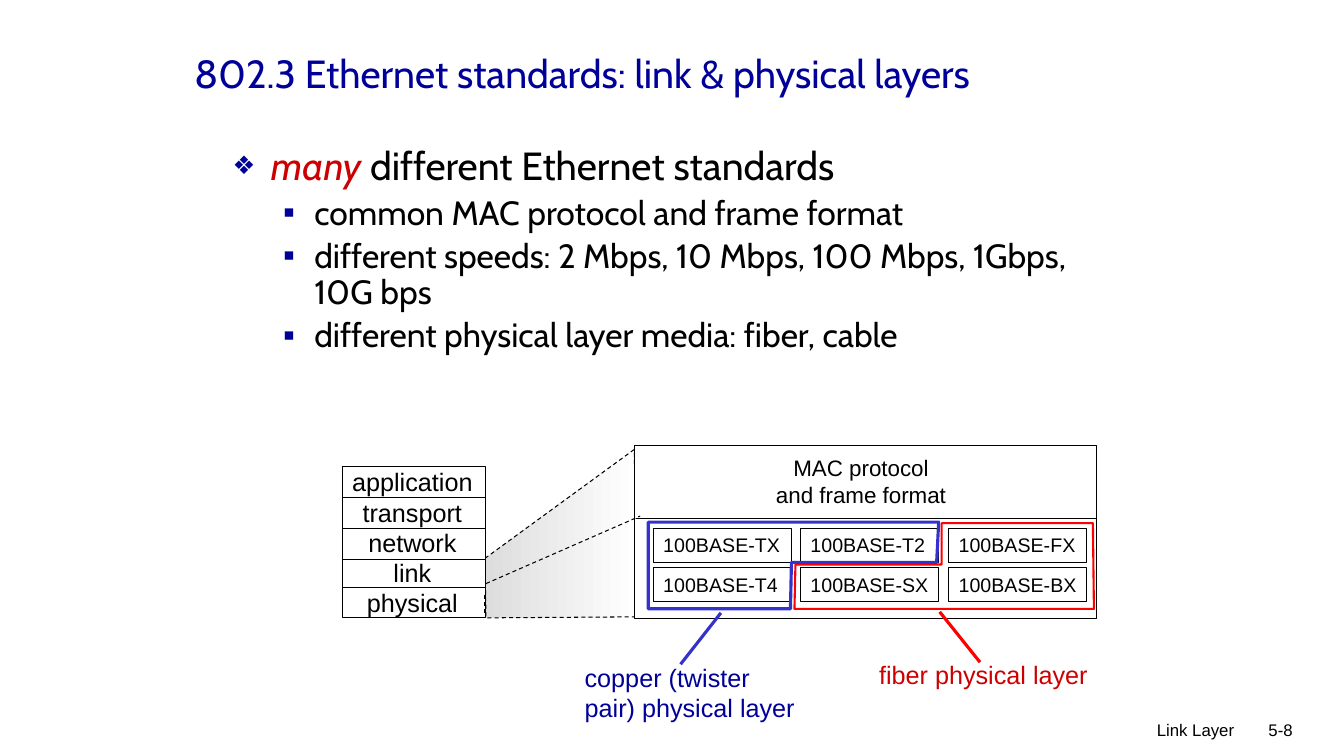
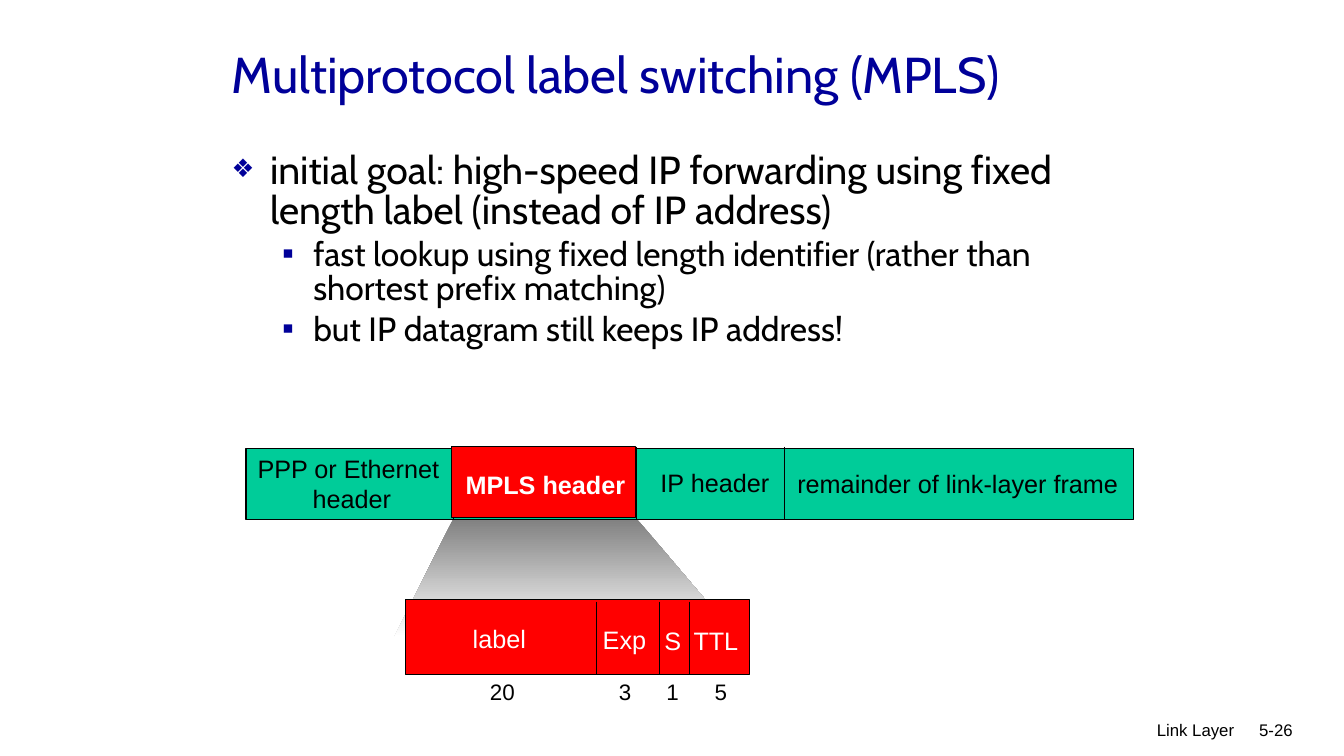
import pptx
import pptx.util
import pptx.dml.color
import pptx.enum.dml
import pptx.enum.shapes
import pptx.enum.text
import pptx.oxml.ns
import lxml.etree

Inches = pptx.util.Inches
Pt = pptx.util.Pt
qn = pptx.oxml.ns.qn
ALIGN = pptx.enum.text.PP_ALIGN
ANCHOR = pptx.enum.text.MSO_ANCHOR
DASH = pptx.enum.dml.MSO_LINE.DASH

BLACK, WHITE, RED = "000000", "FFFFFF", "FF0000"
NAVY, BLUE, CRIMSON, GREEN = "000099", "3333CC", "CC0000", "00CC99"
HEAD_FONT, FONT = "Cabin", "Arial"
BULLETS = [("❖", 65, 0.38, -0.38, 28), ("▪", 100, 0.81, -0.31, 24)]


def rgb(color):
    return pptx.dml.color.RGBColor.from_string(color)


def inches(values):
    return [Inches(v) for v in values]


def style_run(r, size, color, font=FONT, bold=False, italic=False):
    r.font.size = Pt(size)
    r.font.name = font
    r.font.color.rgb = rgb(color)
    r.font.bold = bold
    r.font.italic = italic


def write(sp, text, size, color=BLACK, align=ALIGN.LEFT, font=FONT,
          bold=False, wrap=False, anchor=ANCHOR.TOP):
    tf = sp.text_frame
    tf.text = text
    tf.word_wrap = wrap
    tf.vertical_anchor = anchor
    if not wrap:
        tf.auto_size = pptx.enum.text.MSO_AUTO_SIZE.SHAPE_TO_FIT_TEXT
    for p in tf.paragraphs:
        p.alignment = align
        for r in p.runs:
            style_run(r, size, color, font, bold)


def label(s, at, text, size, color=BLACK, **options):
    write(s.shapes.add_textbox(*inches(at)), text, size, color, **options)


def set_line(sp, color, width, dash=False):
    if color is None:
        sp.line.fill.background()
        return
    sp.line.color.rgb = rgb(color)
    sp.line.width = Pt(width)
    if dash:
        sp.line.dash_style = DASH


def block(s, at, fill=None, line=BLACK):
    sp = s.shapes.add_shape(pptx.enum.shapes.MSO_SHAPE.RECTANGLE, *inches(at))
    sp.shadow.inherit = False
    if fill:
        sp.fill.solid()
        sp.fill.fore_color.rgb = rgb(fill)
    else:
        sp.fill.background()
    set_line(sp, line, 0.75)
    return sp


def outline(s, points, line=None, width=0.75, dash=False, close=True,
            gradient=None, angle=0):
    start, *rest = [tuple(inches(point)) for point in points]
    builder = s.shapes.build_freeform(*start, scale=1.0)
    builder.add_line_segments(rest, close=close)
    sp = builder.convert_to_shape()
    sp.shadow.inherit = False
    if gradient:
        sp.fill.gradient()
        sp.fill.gradient_angle = angle
        for stop, color in zip(sp.fill.gradient_stops, gradient):
            stop.color.rgb = rgb(color)
    else:
        sp.fill.background()
    set_line(sp, line, width, dash)


def rule(s, x1, y1, x2, y2, color=BLACK, width=0.75, dash=False):
    straight = pptx.enum.shapes.MSO_CONNECTOR.STRAIGHT
    cn = s.shapes.add_connector(straight, *inches((x1, y1, x2, y2)))
    set_line(cn, color, width, dash)
    lxml.etree.SubElement(cn._element.spPr, qn("a:effectLst"))


def add_bullet(p, level):
    char, percent, margin, indent, size = BULLETS[level]
    pPr = p._p.get_or_add_pPr()
    pPr.set("marL", str(Inches(margin)))
    pPr.set("indent", str(Inches(indent)))
    color = lxml.etree.SubElement(pPr, qn("a:buClr"))
    lxml.etree.SubElement(color, qn("a:srgbClr"), val=NAVY)
    lxml.etree.SubElement(pPr, qn("a:buSzPct"), val=str(percent * 1000))
    lxml.etree.SubElement(pPr, qn("a:buFont"), typeface=FONT)
    lxml.etree.SubElement(pPr, qn("a:buChar"), char=char)


def bullet_list(s, at, items, spacing):
    tf = s.shapes.add_textbox(*inches(at)).text_frame
    tf.word_wrap = True
    for i, (level, emphasis, text) in enumerate(items):
        size = BULLETS[level][-1]
        p = tf.paragraphs[0] if i == 0 else tf.add_paragraph()
        p.level = level
        p.line_spacing = spacing
        p.space_before = Pt(size * 0.2)
        add_bullet(p, level)
        if emphasis:
            r = p.add_run()
            r.text = emphasis
            style_run(r, size, CRIMSON, HEAD_FONT, italic=True)
        r = p.add_run()
        r.text = text
        style_run(r, size, BLACK, HEAD_FONT)


def new_slide(prs, title, title_at, title_size, number):
    s = prs.slides.add_slide(prs.slide_layouts[6])
    label(s, (8.12, 7.09, 4.22, 0.5), "Link Layer", 12, align=ALIGN.RIGHT, wrap=True)
    label(s, (11.93, 7.09, 0.99, 0.5), number, 12, align=ALIGN.RIGHT, wrap=True)
    label(s, title_at, title, title_size, NAVY, font=HEAD_FONT, wrap=True,
          anchor=ANCHOR.MIDDLE)
    return s


def protocol_stack(s):
    outline(s, [(6.29, 4.46), (4.81, 5.54), (4.82, 6.13), (6.33, 6.12)],
            BLACK, dash=True, gradient=("DDDDDD", WHITE))
    block(s, (3.4, 4.63, 1.42, 1.5), WHITE)
    layers = ["application", "transport", "network", "link", "physical"]
    label(s, (3.39, 4.58, 1.4, 1.6), "\n".join(layers), 18, align=ALIGN.CENTER)
    for y in (4.94, 5.24, 5.55, 5.83):
        rule(s, 3.4, y, 4.81, y)
    for x in (3.4, 4.81):
        rule(s, x, 5.9, x, 6.09, dash=True)


def ethernet_slide(prs):
    s = new_slide(prs, "802.3 Ethernet standards: link & physical layers",
                  (1.83, 0.1, 9.53, 1.25), 28, "5-8")
    bullet_list(s, (2.21, 1.41, 8.5, 2.3), [
        (0, "many ", "different Ethernet standards"),
        (1, "", "common MAC protocol and frame format"),
        (1, "", "different speeds: 2 Mbps, 10 Mbps, 100 Mbps, 1Gbps, 10G bps"),
        (1, "", "different physical layer media: fiber, cable"),
    ], 0.9)
    protocol_stack(s)
    block(s, (6.29, 4.42, 4.59, 1.72), WHITE)
    rule(s, 6.31, 5.14, 10.88, 5.14)
    label(s, (7.59, 4.46, 1.9, 0.64), "MAC protocol\nand frame format", 16,
          align=ALIGN.CENTER)
    outline(s, [(4.82, 5.79), (6.35, 5.12)], BLACK, dash=True, close=False)
    media = [("TX", "T2", "FX"), ("T4", "SX", "BX")]
    for y, row in zip((5.24, 5.63), media):
        for x, medium in zip((6.48, 7.94, 9.41), row):
            sp = block(s, (x, y, 1.37, 0.34))
            write(sp, "100BASE-" + medium, 14)
    outline(s, [(9.34, 5.19), (9.34, 5.6), (7.89, 5.6), (7.88, 6.04),
                (10.85, 6.04), (10.84, 5.19)], RED, 1.5)
    rule(s, 9.32, 6.07, 9.72, 6.57, RED, 2.25)
    label(s, (8.62, 6.49, 2.29, 0.4), "fiber physical layer", 18, CRIMSON)
    outline(s, [(9.31, 5.18), (9.29, 5.58), (7.85, 5.58), (7.84, 6.04),
                (6.43, 6.04), (6.43, 5.18)], BLUE, 2.25)
    rule(s, 7.15, 6.08, 6.75, 6.59, BLUE, 2.25)
    label(s, (5.7, 6.52, 2.31, 0.71), "copper (twister\npair) physical layer",
          18, NAVY)


def mpls_slide(prs):
    s = new_slide(prs, "Multiprotocol label switching (MPLS)",
                  (2.2, 0.21, 8.5, 1.03), 36, "5-26")
    bullet_list(s, (2.2, 1.46, 8.5, 5.08), [
        (0, "", "initial goal: high-speed IP forwarding using fixed length label "
                "(instead of IP address)"),
        (1, "", "fast lookup using fixed length identifier (rather than shortest "
                "prefix matching)"),
        (1, "", "but IP datagram still keeps IP address!"),
    ], 0.85)
    outline(s, [(4.5, 5.14), (3.91, 6.32), (7.31, 6.32), (6.31, 5.14)],
            gradient=("808080", WHITE), angle=270)
    block(s, (2.44, 4.45, 8.8, 0.7), GREEN)
    label(s, (2.45, 4.45, 2.08, 0.7), "PPP or Ethernet \nheader", 18,
          align=ALIGN.CENTER)
    label(s, (6.45, 4.59, 1.28, 0.4), "IP header", 18, align=ALIGN.CENTER)
    for x in (4.5, 6.31, 7.78):
        rule(s, x, 4.43, x, 5.15)
    label(s, (7.81, 4.6, 3.38, 0.4), "remainder of link-layer frame", 18)
    block(s, (4.48, 4.43, 1.82, 0.7), RED)
    label(s, (4.41, 4.61, 2.0, 0.4), "MPLS header", 18, WHITE,
          align=ALIGN.CENTER, bold=True)

    block(s, (4.02, 5.95, 3.41, 0.74), RED)
    fields = [("label", 4.59, 6.13, 0.73, "20", 4.76, 0.45),
              ("Exp", 5.88, 6.14, 0.63, "3", 6.04, 0.32),
              ("S", 6.49, 6.15, 0.37, "1", 6.51, 0.32),
              ("TTL", 6.78, 6.15, 0.65, "5", 6.99, 0.32)]
    for name, x, y, width, bits, bits_x, bits_width in fields:
        write(block(s, (x, y, width, 0.4), RED, None), name, 18, WHITE)
        label(s, (bits_x, 6.68, bits_width, 0.37), bits, 16)
    for x in (5.92, 6.54, 6.84):
        rule(s, x, 5.97, x, 6.69)


def main():
    prs = pptx.Presentation()
    prs.slide_width = Inches(13.33)
    prs.slide_height = Inches(7.5)
    ethernet_slide(prs)
    mpls_slide(prs)
    prs.save("out.pptx")


main()
